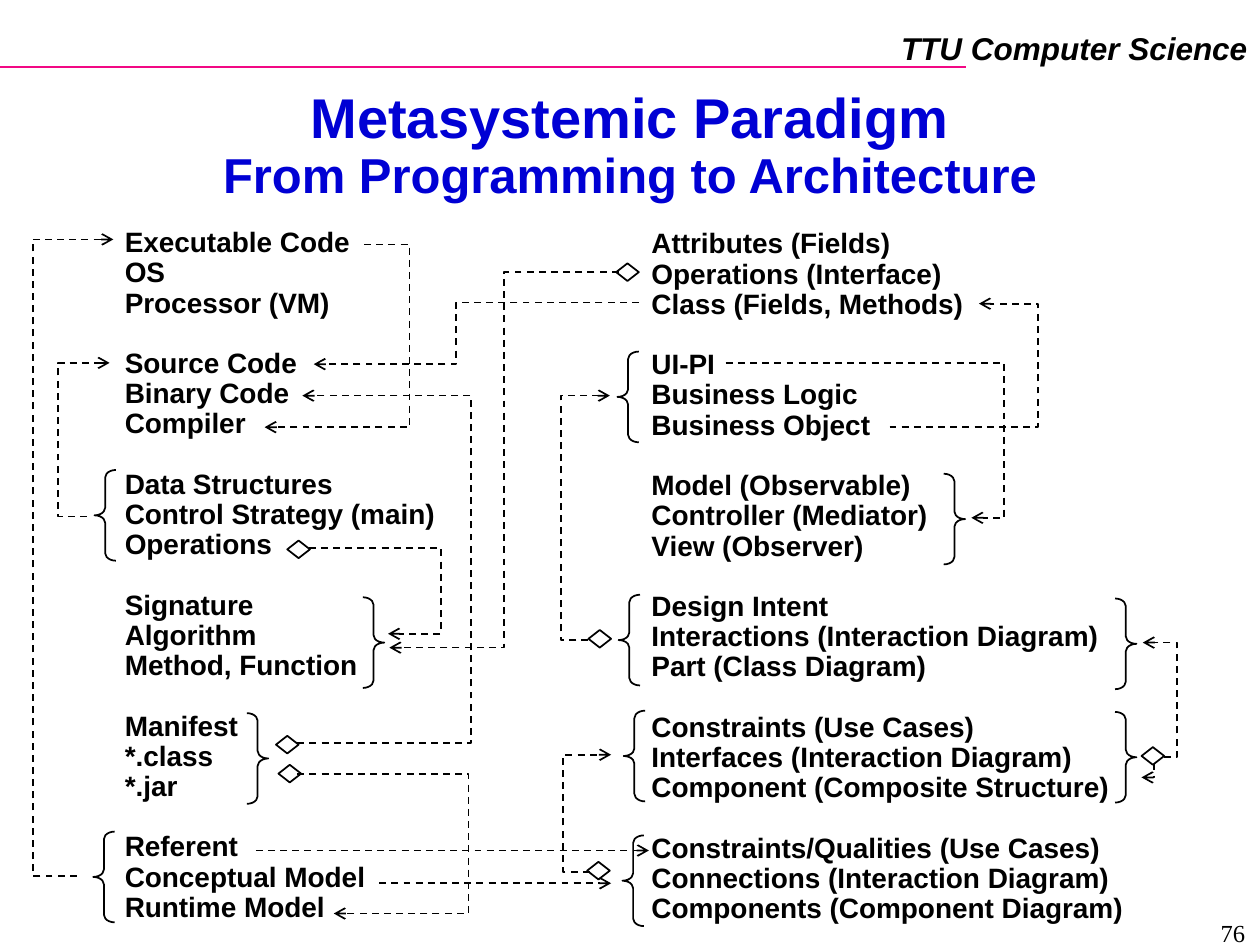
from lxml.etree import SubElement
from pptx import Presentation
from pptx.dml.color import RGBColor
from pptx.enum.dml import MSO_LINE
from pptx.enum.shapes import MSO_CONNECTOR, MSO_SHAPE as Shape
from pptx.enum.text import MSO_ANCHOR, MSO_AUTO_SIZE as AutoSize, PP_ALIGN as Align
from pptx.oxml.ns import qn
from pptx.util import Inches, Pt

BLACK, WHITE, BLUE, PINK = "000000", "FFFFFF", "0000D4", "F20884"
LINE_PITCH = 17.25

CODE_GROUPS = [
    ["Executable Code", "OS", "Processor (VM)"],
    ["Source Code", "Binary Code", "Compiler"],
    ["Data Structures", "Control Strategy (main)", "Operations"],
    ["Signature", "Algorithm", "Method, Function"],
    ["Manifest", "*.class", "*.jar"],
    ["Referent", "Conceptual Model", "Runtime Model"],
]
DESIGN_GROUPS = [
    ["Attributes (Fields)", "Operations (Interface)", "Class (Fields, Methods)"],
    ["UI-PI", "Business Logic", "Business Object"],
    ["Model (Observable)", "Controller (Mediator)", "View (Observer)"],
    ["Design Intent", "Interactions (Interaction Diagram)", "Part (Class Diagram)"],
    ["Constraints (Use Cases)", "Interfaces (Interaction Diagram)",
     "Component (Composite Structure)"],
    ["Constraints/Qualities (Use Cases)", "Connections (Interaction Diagram)",
     "Components (Component Diagram)"],
]
LEFT_BRACES = [(0.75, 3.73), (4.9, 2.79), (4.95, 5.64), (4.94, 6.63),
               (4.91, 4.72), (0.74, 6.6)]
RIGHT_BRACES = [(7.49, 3.76), (8.85, 4.75), (8.85, 5.65), (2.88, 4.74), (1.96, 5.66)]
DIAMONDS = [(9.06, 5.93), (4.66, 6.84), (2.28, 4.29), (2.19, 5.84),
            (4.89, 2.09), (2.21, 6.07), (4.67, 5)]
WIRES = [
    [(9.24, 6.01), (9.34, 6.01), (9.34, 5.1), (9.07, 5.1)],
    [(0.69, 4.1), (0.46, 4.1), (0.46, 2.88), (0.87, 2.88)],
    [(2.89, 1.94), (3.25, 1.94), (3.25, 3.39), (2.1, 3.39)],
    [(4.68, 6.92), (4.47, 6.92), (4.47, 5.99), (4.85, 5.99)],
    [(2.45, 4.35), (3.5, 4.35), (3.5, 5.03), (3.08, 5.03)],
    [(5.07, 2.4), (3.62, 2.4), (3.62, 2.89), (2.49, 2.89)],
    [(2.36, 5.9), (3.74, 5.9), (3.74, 3.14), (2.4, 3.14)],
    [(0.61, 6.95), (0.26, 6.95), (0.26, 1.9), (0.9, 1.9)],
    [(5.76, 2.88), (7.97, 2.88), (7.97, 4.11), (7.71, 4.11)],
    [(2.36, 6.14), (3.72, 6.14), (3.72, 7.25), (2.65, 7.25)],
    [(7.06, 3.39), (8.24, 3.39), (8.24, 2.41), (7.77, 2.41)],
    [(4.67, 5.08), (4.45, 5.08), (4.45, 3.14), (4.84, 3.14)],
    [(4.91, 2.16), (4, 2.16), (4, 5.14), (3.09, 5.14)],
    [(9.16, 6.06), (9.16, 6.17), (9.06, 6.17)],
]


def color(value):
    """Turn a hex string into a colour."""
    return RGBColor.from_string(value)


def set_font(font, size, name="Arial", value=BLACK, bold=True, italic=False):
    """Set every property of a font."""
    font.name, font.size, font.bold, font.italic = name, Pt(size), bold, italic
    font.color.rgb = color(value)


def place(box, left, top, width, height):
    """Move and size a box."""
    box.left, box.top = Inches(left), Inches(top)
    box.width, box.height = Inches(width), Inches(height)


def set_line(shape, value=BLACK):
    """Give a shape a one-point line."""
    shape.line.color.rgb = color(value)
    shape.line.width = Pt(1)


def dash_with_arrow(shape):
    """Dash a line and put an open arrowhead at its end."""
    set_line(shape)
    shape.line.dash_style = MSO_LINE.DASH
    SubElement(shape.element.spPr.find(qn("a:ln")), qn("a:tailEnd"), type="arrow")


def add_preset(page, kind, left, top, width, height):
    """Add an outlined preset shape without fill."""
    shape = page.shapes.add_shape(
        kind, Inches(left), Inches(top), Inches(width), Inches(height))
    shape.shadow.inherit = False
    shape.fill.background()
    set_line(shape)
    return shape


def add_brace(page, kind, left, top):
    """Add a curly brace beside a group of three lines."""
    brace = add_preset(page, kind, left, top, 0.17, 0.72)
    brace.adjustments[0] = 0.35


def add_diamond(page, left, top):
    """Add a white aggregation diamond."""
    diamond = add_preset(page, Shape.DIAMOND, left, top, 0.18, 0.14)
    diamond.fill.solid()
    diamond.fill.fore_color.rgb = color(WHITE)


def add_wire(page, points):
    """Add a dashed bent wire ending in an arrowhead."""
    start, *rest = [(Inches(x), Inches(y)) for x, y in points]
    builder = page.shapes.build_freeform(*start)
    builder.add_line_segments(rest, close=False)
    wire = builder.convert_to_shape()
    wire.shadow.inherit = False
    wire.fill.background()
    dash_with_arrow(wire)


def add_straight(page, left, right, y):
    """Add a horizontal line without shadow."""
    line = page.shapes.add_connector(
        MSO_CONNECTOR.STRAIGHT, Inches(left), Inches(y), Inches(right), Inches(y))
    set_line(line)
    SubElement(line.element.spPr, qn("a:effectLst"))
    return line


def add_label(page, text, left, top, width, height, size, **style):
    """Add a right-aligned text box."""
    box = page.shapes.add_textbox(
        Inches(left), Inches(top), Inches(width), Inches(height))
    box.text_frame.word_wrap = True
    para = box.text_frame.paragraphs[0]
    para.text, para.alignment = text, Align.RIGHT
    set_font(para.font, size, **style)


def fill_title(title):
    """Write the two-line title."""
    place(title, 0.5, 0.71, 9, 0.96)
    frame = title.text_frame
    frame.auto_size, frame.vertical_anchor = AutoSize.NONE, MSO_ANCHOR.MIDDLE
    para = frame.paragraphs[0]
    para.alignment, para.line_spacing = Align.CENTER, Pt(30.5)
    first = para.add_run()
    first.text = "Metasystemic Paradigm"
    para.add_line_break()
    second = para.add_run()
    second.text = "From Programming to Architecture"
    set_font(first.font, 32, value=BLUE)
    set_font(second.font, 28, value=BLUE)


def fill_list(body, groups, left, top, width):
    """Write groups of lines with a line's gap between groups."""
    place(body, left, top, width, 5.7)
    frame = body.text_frame
    frame.auto_size, frame.vertical_anchor = AutoSize.NONE, MSO_ANCHOR.TOP
    frame.text = "\n".join(line for group in groups for line in group)
    group_size = len(groups[0])
    for index, para in enumerate(frame.paragraphs):
        starts_group = index and index % group_size == 0
        para.line_spacing = Pt(LINE_PITCH)
        para.space_before = Pt(LINE_PITCH if starts_group else 0)
        props = para._p.get_or_add_pPr()
        props.set("marL", "0")
        props.set("indent", "0")
        SubElement(props, qn("a:buNone"))
        set_font(para.font, 16)


def main():
    """Build the slide."""
    deck = Presentation()
    deck.slide_width, deck.slide_height = Inches(10), Inches(7.5)
    page = deck.slides.add_slide(deck.slide_layouts[3])
    add_straight(page, 0, 7.67, 0.53).line.color.rgb = color(PINK)
    add_label(page, "TTU Computer Science", 6.8, 0.18, 3.2, 0.4, 18, italic=True)
    fill_title(page.shapes.title)
    fill_list(page.placeholders[1], CODE_GROUPS, 0.89, 1.76, 3.83)
    fill_list(page.placeholders[2], DESIGN_GROUPS, 5.07, 1.77, 4.75)
    for left, top in LEFT_BRACES:
        add_brace(page, Shape.LEFT_BRACE, left, top)
    for left, top in RIGHT_BRACES:
        add_brace(page, Shape.RIGHT_BRACE, left, top)
    for left, top in DIAMONDS:
        add_diamond(page, left, top)
    for points in WIRES:
        add_wire(page, points)
    for left, right, y in [(3.01, 4.85, 7.01), (2.03, 5.15, 6.75)]:
        dash_with_arrow(add_straight(page, left, right, y))
    add_label(page, "76", 7.65, 7.24, 2.33, 0.22, 14,
              name="Times New Roman", bold=False)
    deck.save("out.pptx")


if __name__ == "__main__":
    main()
